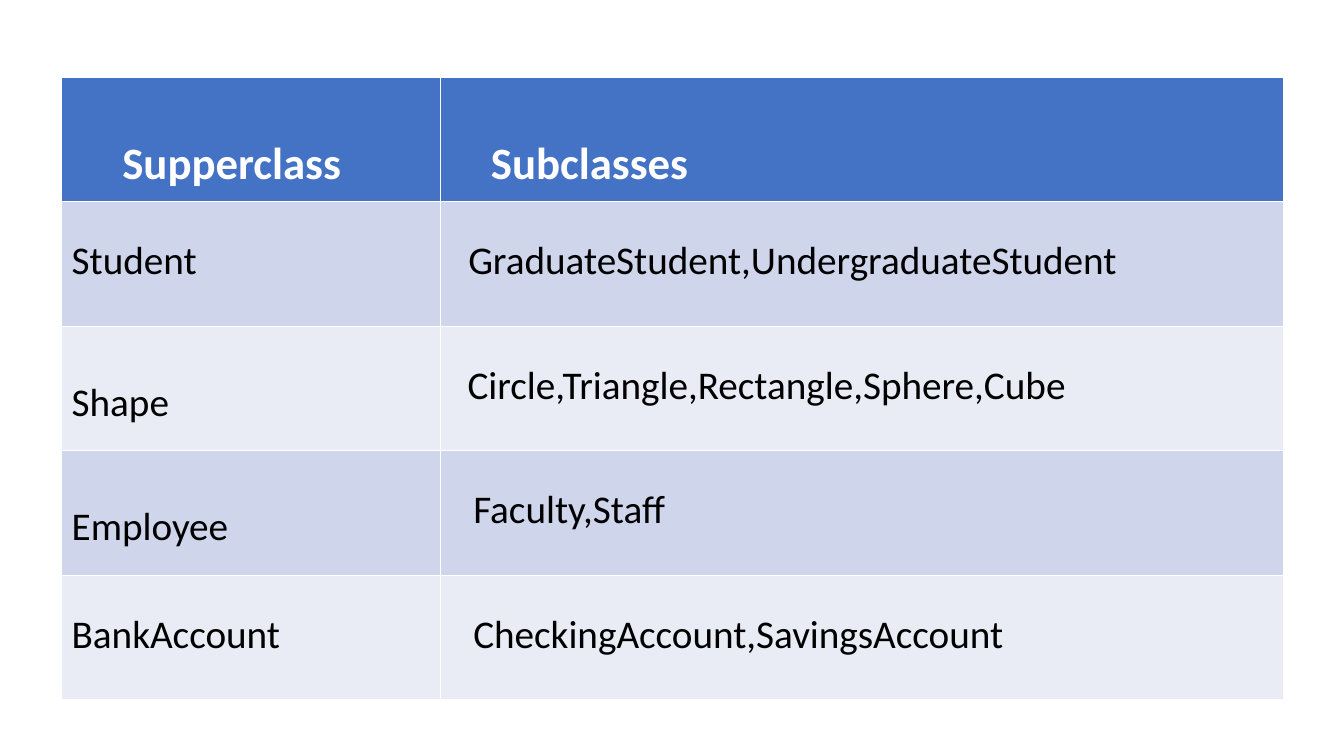
from pptx import Presentation
from pptx.dml.color import RGBColor
from pptx.enum.text import MSO_ANCHOR
from pptx.util import Pt

TOP = MSO_ANCHOR.TOP
BLANK_LAYOUT = 6

THEME = {
    "font": "Calibri",
    "header": {"size": 32, "bold": True, "color": "FFFFFF"},
    "body": {"size": 28, "bold": False, "color": "000000"},
    "header_fill": "4472C4",
    "band_fills": ["E9EBF5", "CFD5EA"],
}

COLUMN_WIDTHS = [270.6, 602]
ROW_HEIGHT = 89
HIGH, LOW, HEADER = 25.6, 37.8, 42.6

ROWS = [
    [("Supperclass", 43.4, HEADER), ("Subclasses", 36.1, HEADER)],
    [("Student", 7.2, HIGH), ("GraduateStudent,UndergraduateStudent", 19.9, HIGH)],
    [("Shape", 7.2, LOW), ("Circle,Triangle,Rectangle,Sphere,Cube", 19.4, HIGH)],
    [("Employee", 7.2, LOW), ("Faculty,Staff", 23.5, HIGH)],
    [("BankAccount", 7.2, HIGH), ("CheckingAccount,SavingsAccount", 23.5, HIGH)],
]

deck = Presentation()
deck.slide_width, deck.slide_height = Pt(960), Pt(540)
page = deck.slides.add_slide(deck.slide_layouts[BLANK_LAYOUT])

table = page.shapes.add_table(
    len(ROWS), len(COLUMN_WIDTHS), Pt(44), Pt(55),
    Pt(sum(COLUMN_WIDTHS)), Pt(ROW_HEIGHT * len(ROWS)),
).table
for column, width in zip(table.columns, COLUMN_WIDTHS):
    column.width = Pt(width)

for row_index, entries in enumerate(ROWS):
    table.rows[row_index].height = Pt(ROW_HEIGHT)
    is_header = row_index == 0
    style = THEME["header" if is_header else "body"]
    fill = THEME["header_fill"] if is_header else THEME["band_fills"][row_index % 2]
    for column_index, (text, left, top) in enumerate(entries):
        cell = table.cell(row_index, column_index)
        cell.fill.solid()
        cell.fill.fore_color.rgb = RGBColor.from_string(fill)
        layout = {"margin_left": Pt(left), "margin_top": Pt(top), "vertical_anchor": TOP}
        for name, value in layout.items():
            setattr(cell, name, value)
        span = cell.text_frame.paragraphs[0].add_run()
        span.text = text
        font = {"name": THEME["font"], "size": Pt(style["size"]), "bold": style["bold"]}
        for name, value in font.items():
            setattr(span.font, name, value)
        span.font.color.rgb = RGBColor.from_string(style["color"])

deck.save("out.pptx")
